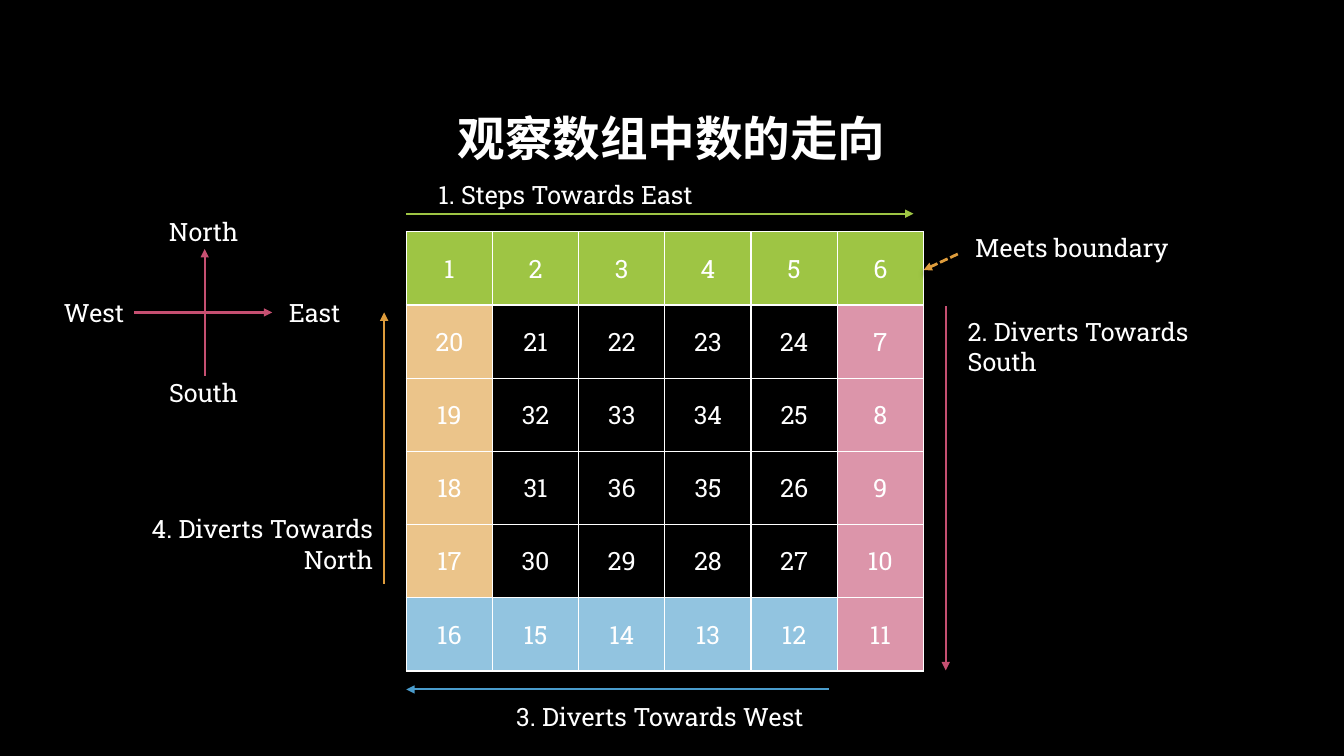
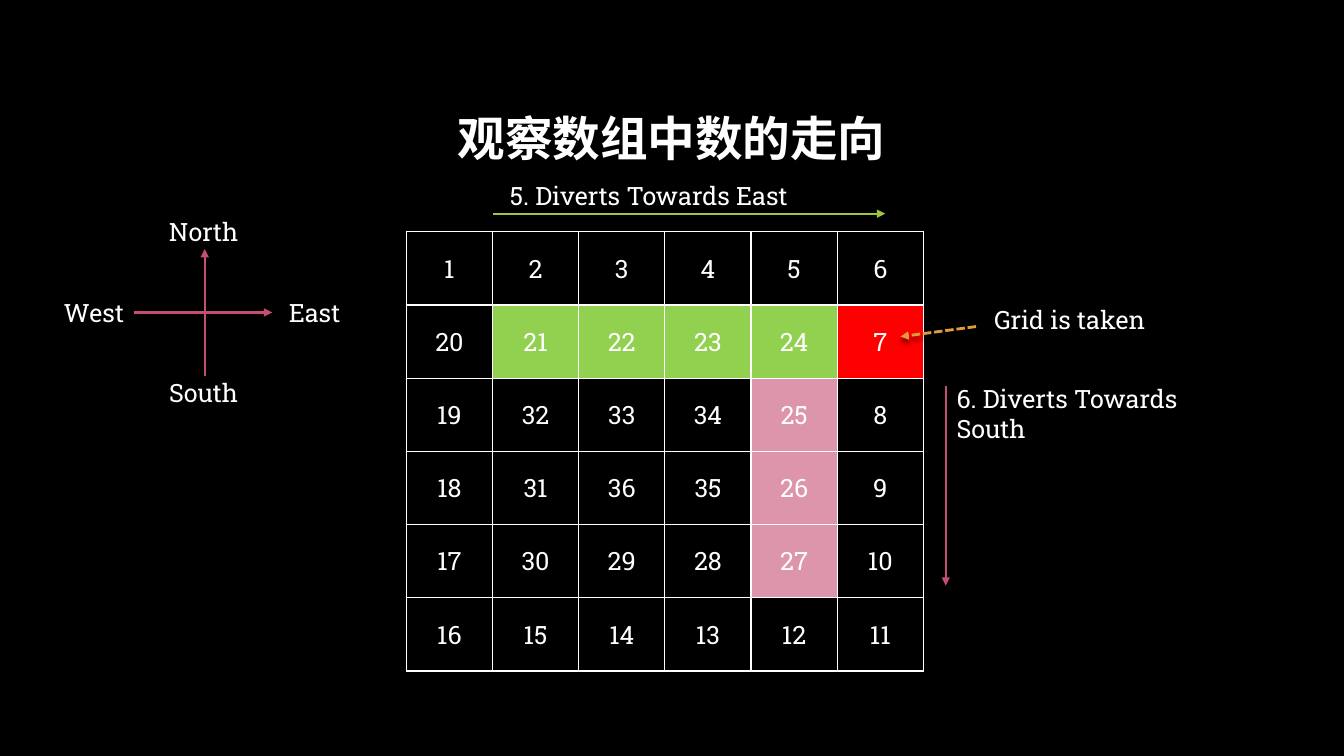
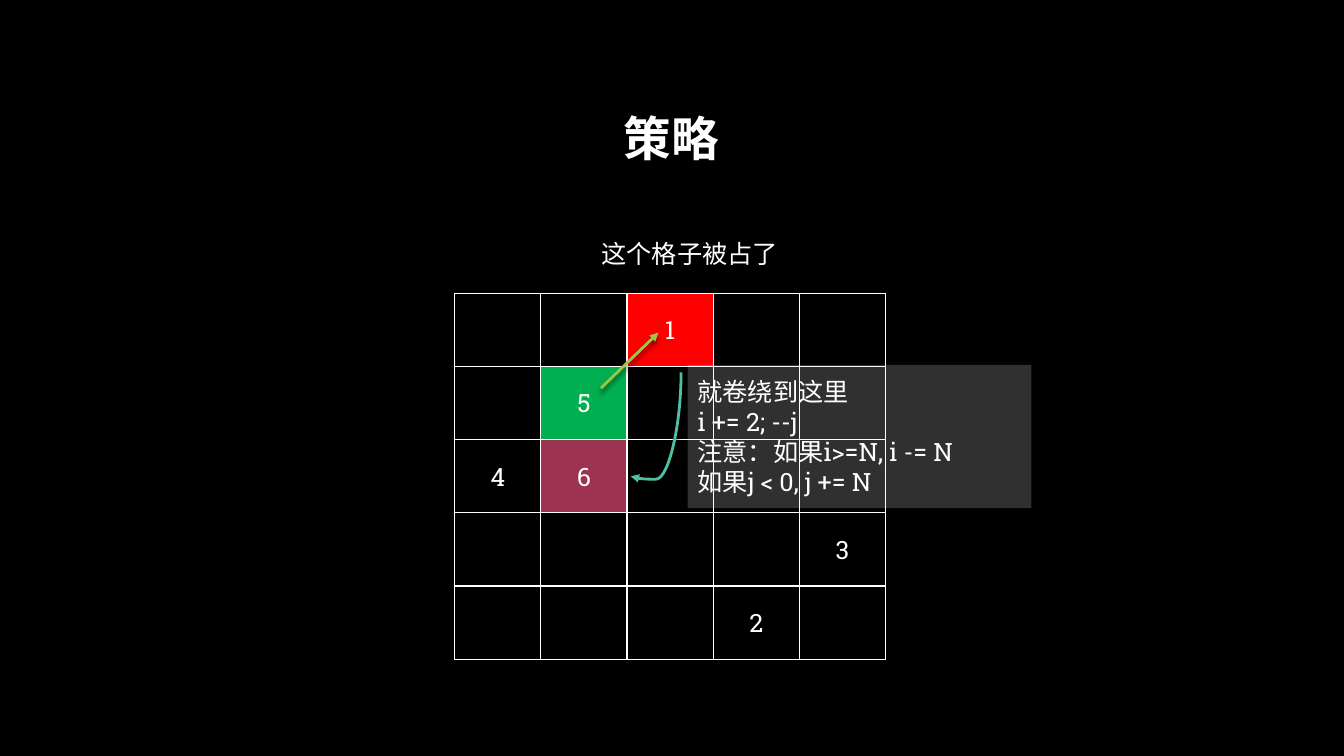
from dataclasses import dataclass

from lxml.etree import SubElement
from pptx import Presentation
from pptx.dml.color import RGBColor
from pptx.enum.dml import MSO_LINE
from pptx.enum.shapes import MSO_CONNECTOR as Link, MSO_SHAPE
from pptx.enum.text import MSO_ANCHOR as Anchor, PP_ALIGN as Align
from pptx.oxml.ns import qn
from pptx.util import Inches, Pt


@dataclass(frozen=True)
class Theme:
    font: str = "Roboto Slab"
    title_size: int = 34
    body_size: int = 18
    background: str = "000000"
    text: str = "FFFFFF"
    green: str = "9EC544"
    lime: str = "92D050"
    emerald: str = "00B050"
    teal: str = "50BEA3"
    rose: str = "C54F71"
    pink: str = "DC95AA"
    wine: str = "9C3351"
    orange: str = "DE9C3C"
    sand: str = "EBC48A"
    blue: str = "4A9CCC"
    sky: str = "92C4E0"
    red: str = "FF0000"
    panel: str = "F2F2F2"
    panel_opacity: int = 20
    cell_width: float = 0.855
    cell_height: float = 0.726


THEME = Theme()


def rgb(value):
    return RGBColor.from_string(value)


def write_text(frame, text, align, size=THEME.body_size, bold=False, spacing=None):
    frame.text = text
    for para in frame.paragraphs:
        para.alignment = align
        para.line_spacing = spacing
        for span in para.runs:
            span.font.name = THEME.font
            span.font.size = Pt(size)
            span.font.bold = bold
            span.font.color.rgb = rgb(THEME.text)


def add_label(shapes, text, left, top, width, height=0.36, align=Align.CENTER, **style):
    box = shapes.add_textbox(Inches(left), Inches(top), Inches(width), Inches(height))
    box.text_frame.word_wrap = True
    box.text_frame.vertical_anchor = Anchor.MIDDLE
    write_text(box.text_frame, text, align, **style)


def add_page(deck, title):
    page = deck.slides.add_slide(deck.slide_layouts[6])
    page.background.fill.solid()
    page.background.fill.fore_color.rgb = rgb(THEME.background)
    add_label(page.shapes, title, 1, 0.67, 11.32, 1.45,
              size=THEME.title_size, bold=True, spacing=0.9)
    return page


def add_shadow(effects):
    shadow = SubElement(effects, qn("a:outerShdw"), blurRad=str(Pt(4)),
                        dist=str(Pt(3)), dir="5400000", rotWithShape="0")
    color = SubElement(shadow, qn("a:srgbClr"), val="000000")
    SubElement(color, qn("a:alpha"), val="54000")


def add_arrow(shapes, start, end, color, width=1.5, dashed=False, shadow=False,
              kind=Link.STRAIGHT):
    arrow = shapes.add_connector(kind, *map(Inches, start + end))
    arrow.line.color.rgb = rgb(color)
    arrow.line.width = Pt(width)
    if dashed:
        arrow.line.dash_style = MSO_LINE.SQUARE_DOT
    properties = arrow._element.spPr
    SubElement(properties.find(qn("a:ln")), qn("a:tailEnd"), type="triangle")
    effects = SubElement(properties, qn("a:effectLst"))
    if shadow:
        add_shadow(effects)
    return arrow


def add_wrap_arrow(shapes):
    arrow = add_arrow(shapes, (5.99, 3.96), (7.02, 4.46), THEME.teal, 2,
                      shadow=True, kind=Link.CURVE)
    properties = arrow._element.spPr
    properties.find(qn("a:xfrm")).set("rot", "5400000")
    geometry = properties.find(qn("a:prstGeom"))
    adjustments = geometry.find(qn("a:avLst"))
    if adjustments is None:
        adjustments = SubElement(geometry, qn("a:avLst"))
    SubElement(adjustments, qn("a:gd"), name="adj1", fmla="val 102900")


def add_borders(cell):
    properties = cell._tc.get_or_add_tcPr()
    for side in ("lnL", "lnR", "lnT", "lnB"):
        border = SubElement(properties, qn(f"a:{side}"), w=str(Pt(1)))
        fill = SubElement(border, qn("a:solidFill"))
        SubElement(fill, qn("a:srgbClr"), val=THEME.text)


def add_grid(page, left, top, size, numbers, fills):
    table = page.shapes.add_table(
        size, size, Inches(left), Inches(top),
        Inches(size * THEME.cell_width), Inches(size * THEME.cell_height)).table
    table.first_row = table.horz_banding = False
    for column in table.columns:
        column.width = Inches(THEME.cell_width)
    for row in table.rows:
        row.height = Inches(THEME.cell_height)
    for row in range(size):
        for column in range(size):
            cell = table.cell(row, column)
            number = numbers.get((row, column))
            add_borders(cell)
            cell.vertical_anchor = Anchor.MIDDLE
            if number in fills:
                cell.fill.solid()
                cell.fill.fore_color.rgb = rgb(fills[number])
            else:
                cell.fill.background()
            if number is not None:
                write_text(cell.text_frame, str(number), Align.CENTER)


def spiral(size):
    numbers = {}
    row, column, down, right = 0, 0, 0, 1
    for number in range(1, size * size + 1):
        numbers[row, column] = number
        ahead = (row + down, column + right)
        if ahead in numbers or not all(0 <= place < size for place in ahead):
            down, right = right, -down
        row, column = row + down, column + right
    return numbers


def color_ranges(*ranges):
    return {number: color for first, last, color in ranges
            for number in range(first, last + 1)}


def add_compass(page):
    shapes = page.shapes.add_group_shape().shapes
    add_arrow(shapes, (1.33, 3.1), (2.7, 3.1), THEME.rose)
    add_arrow(shapes, (2.03, 3.73), (2.03, 2.47), THEME.rose)
    for name, left, top in (("North", 1.46, 2.12), ("South", 1.46, 3.71),
                            ("East", 2.56, 2.92), ("West", 0.37, 2.92)):
        add_label(shapes, name, left, top, 1.12)


def add_spiral_page(deck, fills):
    page = add_page(deck, "观察数组中数的走向")
    add_grid(page, 4.03, 2.3, 6, spiral(6), fills)
    add_compass(page)
    return page.shapes


def build_outer_ring(deck):
    shapes = add_spiral_page(deck, color_ranges(
        (1, 6, THEME.green), (7, 11, THEME.pink),
        (12, 16, THEME.sky), (17, 20, THEME.sand)))
    add_arrow(shapes, (4.03, 2.12), (9.06, 2.12), THEME.green)
    add_label(shapes, "1. Steps Towards East", 4.03, 1.75, 3.16)
    add_arrow(shapes, (9.38, 3.04), (9.38, 6.65), THEME.rose)
    add_label(shapes, "2. Diverts Towards South", 9.5, 3.04, 2.44, 0.79, Align.LEFT)
    add_label(shapes, "Meets boundary", 9.31, 2.28, 2.64)
    add_arrow(shapes, (9.5, 2.52), (9.16, 2.68), THEME.orange, 2, True, True)
    add_arrow(shapes, (8.22, 6.84), (4.03, 6.84), THEME.blue)
    add_label(shapes, "3. Diverts Towards West", 4.58, 6.71, 3.93, 0.79)
    add_arrow(shapes, (3.81, 5.79), (3.81, 3.1), THEME.orange)
    add_label(shapes, "4. Diverts Towards North", 1.36, 5, 2.44, 0.79, Align.RIGHT)


def build_inner_ring(deck):
    shapes = add_spiral_page(deck, color_ranges(
        (7, 7, THEME.red), (21, 24, THEME.lime), (25, 27, THEME.pink)))
    add_arrow(shapes, (4.89, 2.12), (8.78, 2.12), THEME.green)
    add_label(shapes, "5. Diverts Towards East", 4.69, 1.76, 3.49)
    add_arrow(shapes, (9.38, 3.83), (9.38, 5.81), THEME.rose)
    add_label(shapes, "6. Diverts Towards South", 9.39, 3.71, 2.44, 0.79, Align.LEFT)
    add_label(shapes, "Grid is taken", 9.29, 2.99, 2.64)
    add_arrow(shapes, (9.68, 3.24), (8.93, 3.34), THEME.orange, 2, True, True)


def add_panel(shapes, text, left, top, width, height):
    panel = shapes.add_shape(MSO_SHAPE.RECTANGLE, Inches(left), Inches(top),
                             Inches(width), Inches(height))
    panel.shadow.inherit = False
    panel.line.fill.background()
    panel.fill.solid()
    panel.fill.fore_color.rgb = rgb(THEME.panel)
    color = panel._element.spPr.find(qn("a:solidFill")).find(qn("a:srgbClr"))
    SubElement(color, qn("a:alpha"), val=str(THEME.panel_opacity * 1000))
    panel.text_frame.word_wrap = True
    panel.text_frame.vertical_anchor = Anchor.MIDDLE
    write_text(panel.text_frame, text, Align.LEFT)


def build_strategy(deck):
    page = add_page(deck, "策略")
    numbers = {(0, 2): 1, (4, 3): 2, (3, 4): 3, (2, 0): 4, (1, 1): 5, (2, 1): 6}
    add_grid(page, 4.51, 2.91, 5, numbers,
             {1: THEME.red, 5: THEME.emerald, 6: THEME.wine})
    add_label(page.shapes, "这个格子被占了", 5.62, 2.12, 2.44, 0.79)
    add_wrap_arrow(page.shapes)
    rules = ("就卷绕到这里", "i += 2; --j", "注意：如果i>=N, i -= N", "如果j < 0, j += N")
    add_panel(page.shapes, "\n".join(rules), 6.82, 3.62, 3.41, 1.42)
    add_arrow(page.shapes, (5.96, 3.85), (6.53, 3.3), THEME.green, 2, shadow=True)


def main():
    deck = Presentation()
    deck.slide_width = Inches(13.33)
    deck.slide_height = Inches(7.5)
    build_outer_ring(deck)
    build_inner_ring(deck)
    build_strategy(deck)
    deck.save("out.pptx")


if __name__ == "__main__":
    main()
